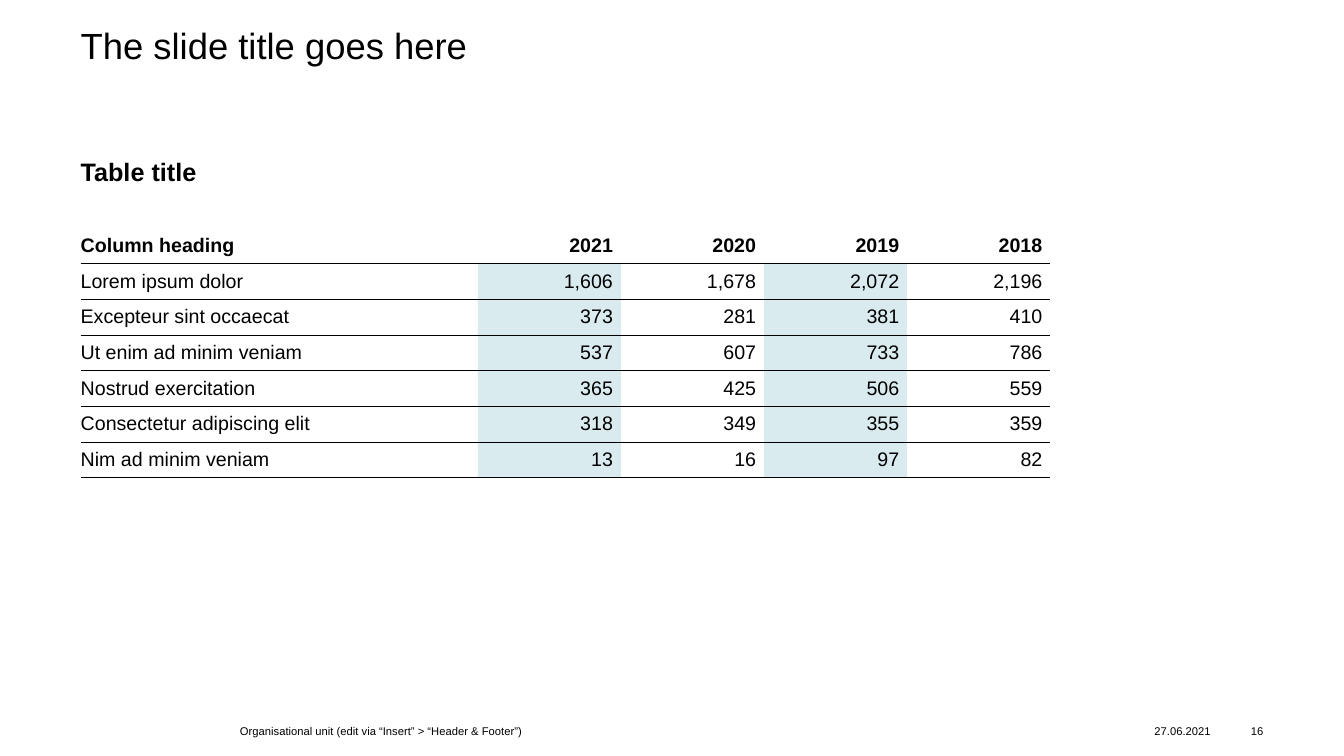
from lxml import etree
from pptx import Presentation, util as u
from pptx.dml.color import RGBColor
from pptx.enum import text
from pptx.oxml import ns

FONT = "Arial"
COLORS = {"ink": "000000", "paper": "FFFFFF", "accent": "007A96"}
ACCENT_OPACITY = 15
PLAIN_TABLE_STYLE = "{2D5ABB26-0587-4C30-8999-92F81FD0307C}"
LEFT, RIGHT = text.PP_ALIGN.LEFT, text.PP_ALIGN.RIGHT
TOP, MIDDLE = text.MSO_ANCHOR.TOP, text.MSO_ANCHOR.MIDDLE

WIDTH, HEIGHT = 13.33, 7.5
MARGIN = 0.8
CONTENT_WIDTH = WIDTH - 2 * MARGIN
FOOTER_TOP, FOOTER_HEIGHT = 7.13, 0.24

HEADINGS = [
    ("The slide title goes here", 0.28, 0.98, 26, False, 0.9),
    ("Table title", 1.55, 0.43, 18, True, 1.0),
]
FOOTERS = [
    ("Organisational unit (edit via “Insert” > “Header & Footer”)", 2.38, 5.91, LEFT),
    ("27.06.2021", 11.45, 0.67, LEFT),
    ("16", 12.18, 0.35, RIGHT),
]
TABLE_ROWS = [
    ("Column heading", "2021", "2020", "2019", "2018"),
    ("Lorem ipsum dolor", "1,606", "1,678", "2,072", "2,196"),
    ("Excepteur sint occaecat", "373", "281", "381", "410"),
    ("Ut enim ad minim veniam", "537", "607", "733", "786"),
    ("Nostrud exercitation", "365", "425", "506", "559"),
    ("Consectetur adipiscing elit", "318", "349", "355", "359"),
    ("Nim ad minim veniam", "13", "16", "97", "82"),
]
TABLE_TOP, TABLE_HEIGHT = 2.26, 2.48
LABEL_WIDTH, YEAR_WIDTH = 3.94, 1.42
CELL_RIGHT_INSET = 0.08


def write(paragraph, words, size, bold=False, align=LEFT):
    paragraph.alignment = align
    run = paragraph.add_run()
    run.text = words
    run.font.name = FONT
    run.font.size = u.Pt(size)
    run.font.bold = bold
    run.font.color.rgb = RGBColor.from_string(COLORS["ink"])


def add_text(slide, words, box, size, bold=False, align=LEFT, anchor=TOP, spacing=1.0):
    shape = slide.shapes.add_textbox(*map(u.Inches, box))
    frame = shape.text_frame
    frame.word_wrap = True
    frame.vertical_anchor = anchor
    frame.margin_left = frame.margin_top = frame.margin_right = frame.margin_bottom = 0
    frame.paragraphs[0].line_spacing = spacing
    write(frame.paragraphs[0], words, size, bold, align)


def add_border(cell, side, points):
    properties = cell._tc.get_or_add_tcPr()
    line = etree.SubElement(properties, ns.qn(f"a:{side}"), w=str(u.Pt(points)))
    fill = etree.SubElement(line, ns.qn("a:solidFill"))
    etree.SubElement(fill, ns.qn("a:srgbClr"), val=COLORS["ink"])


def fill_cell(cell, color, opacity=100):
    cell.fill.solid()
    cell.fill.fore_color.rgb = RGBColor.from_string(COLORS[color])
    if opacity < 100:
        tone = cell._tc.tcPr.find(".//" + ns.qn("a:solidFill") + "[last()]")
        tone = cell._tc.tcPr.findall(ns.qn("a:solidFill"))[-1][0]
        etree.SubElement(tone, ns.qn("a:alpha"), val=str(opacity * 1000))


def add_figures(slide):
    widths = [LABEL_WIDTH] + [YEAR_WIDTH] * (len(TABLE_ROWS[0]) - 1)
    box = (MARGIN, TABLE_TOP, sum(widths), TABLE_HEIGHT)
    shape = slide.shapes.add_table(len(TABLE_ROWS), len(widths), *map(u.Inches, box))
    table = shape.table
    table.horz_banding = False
    table._tbl.tblPr.find(ns.qn("a:tableStyleId")).text = PLAIN_TABLE_STYLE
    for column, width in zip(table.columns, widths):
        column.width = u.Inches(width)
    for row_index, values in enumerate(TABLE_ROWS):
        header = row_index == 0
        table.rows[row_index].height = u.Inches(TABLE_HEIGHT / len(TABLE_ROWS))
        for column_index, value in enumerate(values):
            cell = table.cell(row_index, column_index)
            cell.margin_left = cell.margin_top = cell.margin_bottom = 0
            cell.margin_right = u.Inches(CELL_RIGHT_INSET)
            cell.vertical_anchor = MIDDLE
            align = RIGHT if column_index else LEFT
            write(cell.text_frame.paragraphs[0], value, 14, header, align)
            if not header:
                add_border(cell, "lnT", 1 if row_index == 1 else 0.5)
            add_border(cell, "lnB", 1 if header else 0.5)
            if header:
                cell.fill.background()
            elif column_index % 2:
                fill_cell(cell, "accent", ACCENT_OPACITY)
            else:
                fill_cell(cell, "paper")


def main():
    presentation = Presentation()
    presentation.slide_width = u.Inches(WIDTH)
    presentation.slide_height = u.Inches(HEIGHT)
    slide = presentation.slides.add_slide(presentation.slide_layouts[6])
    for words, top, height, size, bold, spacing in HEADINGS:
        box = (MARGIN, top, CONTENT_WIDTH, height)
        add_text(slide, words, box, size, bold, spacing=spacing)
    add_figures(slide)
    for words, left, width, align in FOOTERS:
        box = (left, FOOTER_TOP, width, FOOTER_HEIGHT)
        add_text(slide, words, box, 8, align=align, anchor=MIDDLE)
    presentation.save("out.pptx")


if __name__ == "__main__":
    main()
